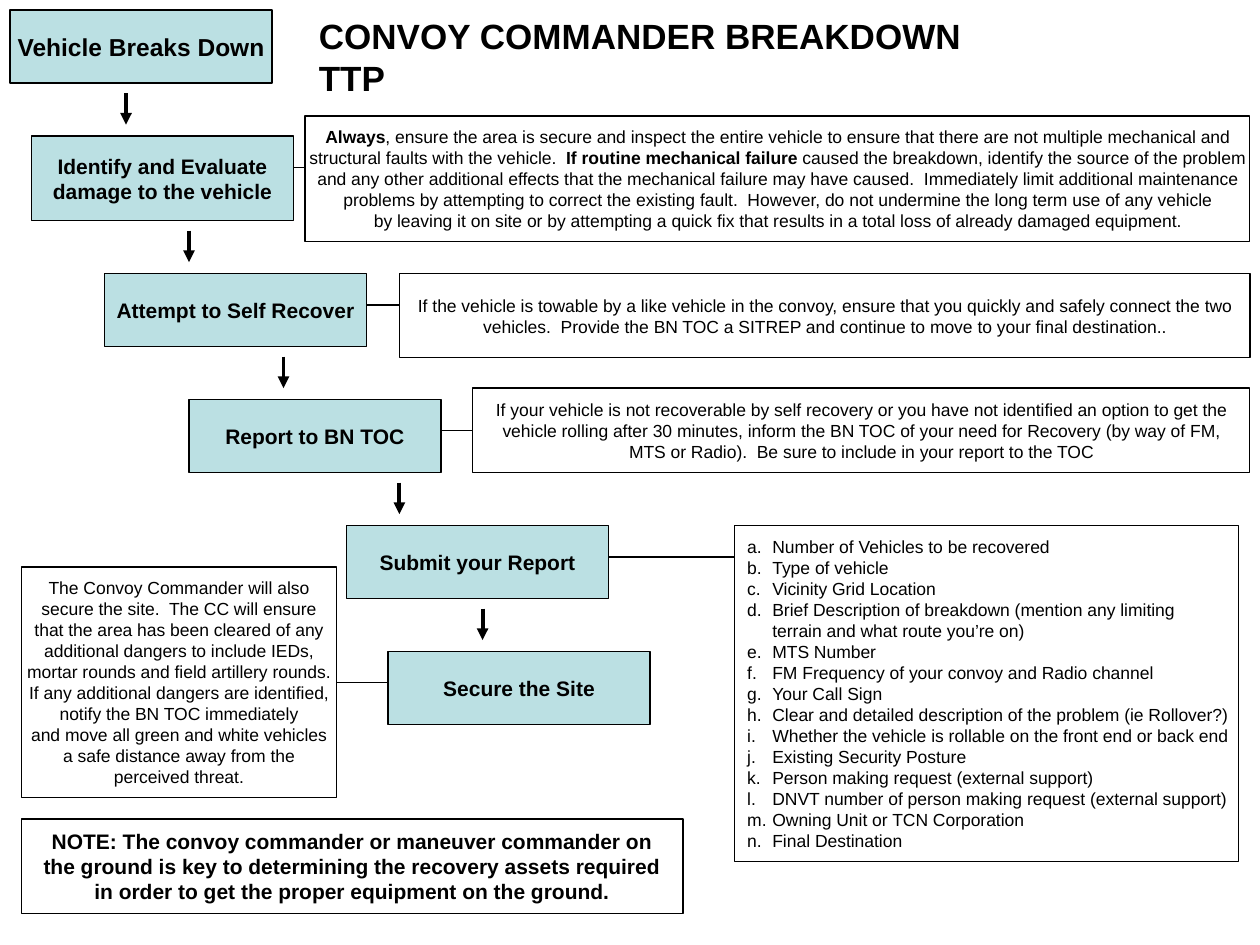
from lxml import etree
from pptx import Presentation
from pptx.dml.color import RGBColor
from pptx.enum import shapes, text
from pptx.oxml.ns import qn
from pptx.util import Inches, Pt

THEME = {
    "font": "Arial",
    "ink": RGBColor(0x00, 0x00, 0x00),
    "step": RGBColor(0xBB, 0xE0, 0xE3),
    "paper": RGBColor(0xFF, 0xFF, 0xFF),
    "title": 20, "first": 14, "strong": 12, "body": 10,
    "outline": 0.75, "arrow": 2.25,
}

TITLE = "CONVOY COMMANDER BREAKDOWN TTP"
TITLE_BOX = (2.43, 0.23, 5.9, 0.44)

# Steps in order: lines, box (left, top, width, height), x of the arrow to the next step
STEPS = [
    (["Vehicle Breaks Down"], (0.08, 0.08, 2.08, 0.58), 1),
    (["Identify and Evaluate", "damage to the vehicle"], (0.25, 1.08, 2.08, 0.67), 1.5),
    (["Attempt to Self Recover"], (0.83, 2.17, 2.08, 0.58), 2.25),
    (["Report to BN TOC"], (1.5, 3.17, 2, 0.58), 3.17),
    (["Submit your Report"], (2.75, 4.17, 2.08, 0.58), 3.83),
    (["Secure the Site"], (3.08, 5.17, 2.08, 0.58), None),
]
ARROW_GAP, ARROW_LENGTH = 0.08, 0.25

# Notes by step number; ** marks bold. The last value is the height of the link,
# None where it meets the middle of the note's side.
NOTES = {
    1: (["**Always**, ensure the area is secure and inspect the entire vehicle to ensure that there are not multiple mechanical and",
         "structural faults with the vehicle.  **If routine mechanical failure** caused the breakdown, identify the source of the problem",
         "and any other additional effects that the mechanical failure may have caused.  Immediately limit additional maintenance",
         "problems by attempting to correct the existing fault.  However, do not undermine the long term use of any vehicle",
         "by leaving it on site or by attempting a quick fix that results in a total loss of already damaged equipment."],
        (2.42, 0.92, 7.5, 1), 1.33),
    2: (["If the vehicle is towable by a like vehicle in the convoy, ensure that you quickly and safely connect the two",
         "vehicles.  Provide the BN TOC a SITREP and continue to move to your final destination.."],
        (3.17, 2.17, 6.75, 0.67), 2.42),
    3: (["If your vehicle is not recoverable by self recovery or you have not identified an option to get the",
         "vehicle rolling after 30 minutes, inform the BN TOC of your need for Recovery (by way of FM,",
         "MTS or Radio).  Be sure to include in your report to the TOC"],
        (3.75, 3.08, 6.17, 0.67), None),
    5: (["The Convoy Commander will also",
         "secure the site.  The CC will ensure",
         "that the area has been cleared of any",
         "additional dangers to include IEDs,",
         "mortar rounds and field artillery rounds.",
         "If any additional dangers are identified,",
         "notify the BN TOC immediately",
         "and move all green and white vehicles",
         "a safe distance away from the",
         "perceived threat."],
        (0.17, 4.5, 2.5, 1.83), None),
}

REPORT_STEP, REPORT_LINK_Y = 4, 4.42
REPORT_BOX = (5.83, 4.17, 4, 2.67)
REPORT_ITEMS = [
    "Number of Vehicles to be recovered",
    "Type of vehicle",
    "Vicinity Grid Location",
    "Brief Description of breakdown (mention any limiting\vterrain and what route you’re on)",
    "MTS Number",
    "FM Frequency of your convoy and Radio channel",
    "Your Call Sign",
    "Clear and detailed description of the problem (ie Rollover?)",
    "Whether the vehicle is rollable on the front end or back end",
    "Existing Security Posture",
    "Person making request (external support)",
    "DNVT number of person making request (external support)",
    "Owning Unit or TCN Corporation",
    "Final Destination",
]

REMINDER = ["NOTE: The convoy commander or maneuver commander on",
            "the ground is key to determining the recovery assets required",
            "in order to get the proper equipment on the ground."]
REMINDER_BOX = (0.17, 6.5, 5.25, 0.75)


def place(shape, box):
    shape.left, shape.top, shape.width, shape.height = map(Inches, box)


def outline(shape, fill):
    shape.fill.solid()
    shape.fill.fore_color.rgb = fill
    shape.line.color.rgb = THEME["ink"]
    shape.line.width = Pt(THEME["outline"])


def style(paragraph, size, bold=False, align=text.PP_ALIGN.LEFT):
    paragraph.alignment = align
    paragraph.space_before = Pt(0)
    font = paragraph.font
    font.name, font.size, font.bold = THEME["font"], Pt(size), bold
    font.color.rgb = THEME["ink"]


def add_box(slide, lines, box, fill, size, bold=False):
    """Add an outlined rectangle with one centred paragraph per line."""
    panel = slide.shapes.add_shape(shapes.MSO_SHAPE.RECTANGLE, *map(Inches, box))
    panel.shadow.inherit = False
    outline(panel, fill)
    frame = panel.text_frame
    frame.word_wrap = False
    frame.vertical_anchor = text.MSO_ANCHOR.MIDDLE
    for number, line in enumerate(lines):
        paragraph = frame.add_paragraph() if number else frame.paragraphs[0]
        style(paragraph, size, bold, text.PP_ALIGN.CENTER)
        for part_number, part in enumerate(line.split("**")):
            if part:
                run = paragraph.add_run()
                run.text = part
                if part_number % 2:
                    run.font.bold = True
    return panel


def add_line(slide, start, end, width, arrow=False):
    line = slide.shapes.add_connector(
        shapes.MSO_CONNECTOR.STRAIGHT, *map(Inches, (*start, *end)))
    line.line.color.rgb = THEME["ink"]
    line.line.width = Pt(width)
    if arrow:
        etree.SubElement(line.line._get_or_add_ln(), qn("a:tailEnd"), type="triangle")
    etree.SubElement(line._element.spPr, qn("a:effectLst"))
    return line


def add_link(slide, step_box, note_box, y):
    """Link the facing sides of a step and its note at height y."""
    note_is_right = note_box[0] > step_box[0]
    left_box, right_box = (step_box, note_box) if note_is_right else (note_box, step_box)
    ends = [(left_box[0] + left_box[2], y), (right_box[0], y)]
    if not note_is_right:
        ends.reverse()
    return add_line(slide, *ends, THEME["outline"])


def fill_title(title):
    place(title, TITLE_BOX)
    title.text_frame.text = TITLE
    title.text_frame.word_wrap = False
    style(title.text_frame.paragraphs[0], THEME["title"], bold=True)


def fill_report(report):
    place(report, REPORT_BOX)
    outline(report, THEME["paper"])
    frame = report.text_frame
    frame.word_wrap = True
    frame.auto_size = text.MSO_AUTO_SIZE.NONE
    frame.vertical_anchor = text.MSO_ANCHOR.MIDDLE
    frame.margin_right = 0
    hanging = Inches(0.2)
    for number, item in enumerate(REPORT_ITEMS):
        paragraph = frame.add_paragraph() if number else frame.paragraphs[0]
        paragraph.text = item
        style(paragraph, THEME["body"])
        properties = paragraph._p.get_or_add_pPr()
        properties.set("marL", str(hanging))
        properties.set("indent", str(-hanging))
        letter = etree.Element(qn("a:buAutoNum"), type="alphaLcPeriod")
        properties.find(qn("a:defRPr")).addprevious(letter)
        letter.addprevious(etree.Element(qn("a:buFont"), typeface=THEME["font"]))


def main():
    deck = Presentation()
    deck.slide_width, deck.slide_height = Inches(10), Inches(7.5)
    slide = deck.slides.add_slide(deck.slide_layouts[1])
    fill_title(slide.shapes.title)
    fill_report(slide.placeholders[1])

    for number, (lines, box, arrow_x) in enumerate(STEPS):
        size = THEME["strong"] if number else THEME["first"]
        add_box(slide, lines, box, THEME["step"], size, bold=True)
        if arrow_x is not None:
            top = box[1] + box[3] + ARROW_GAP
            add_line(slide, (arrow_x, top), (arrow_x, top + ARROW_LENGTH),
                     THEME["arrow"], arrow=True)

    for number, (lines, box, link_y) in NOTES.items():
        note = add_box(slide, lines, box, THEME["paper"], THEME["body"])
        step_box = STEPS[number][1]
        middle = box[1] + box[3] / 2
        link = add_link(slide, step_box, box, middle if link_y is None else link_y)
        if link_y is None:
            link.end_connect(note, 1 if box[0] > step_box[0] else 3)

    add_link(slide, STEPS[REPORT_STEP][1], REPORT_BOX, REPORT_LINK_Y)
    add_box(slide, REMINDER, REMINDER_BOX, THEME["paper"], THEME["strong"], bold=True)
    deck.save("out.pptx")


if __name__ == "__main__":
    main()
